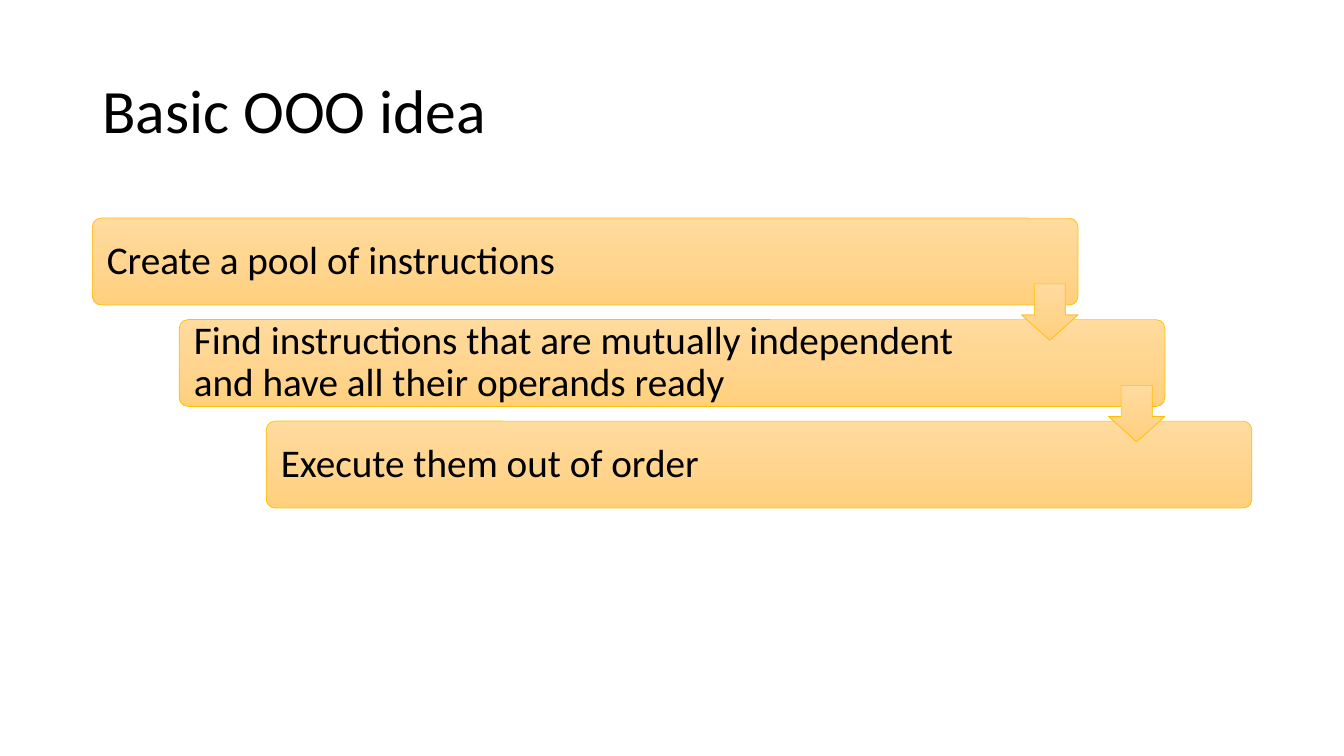
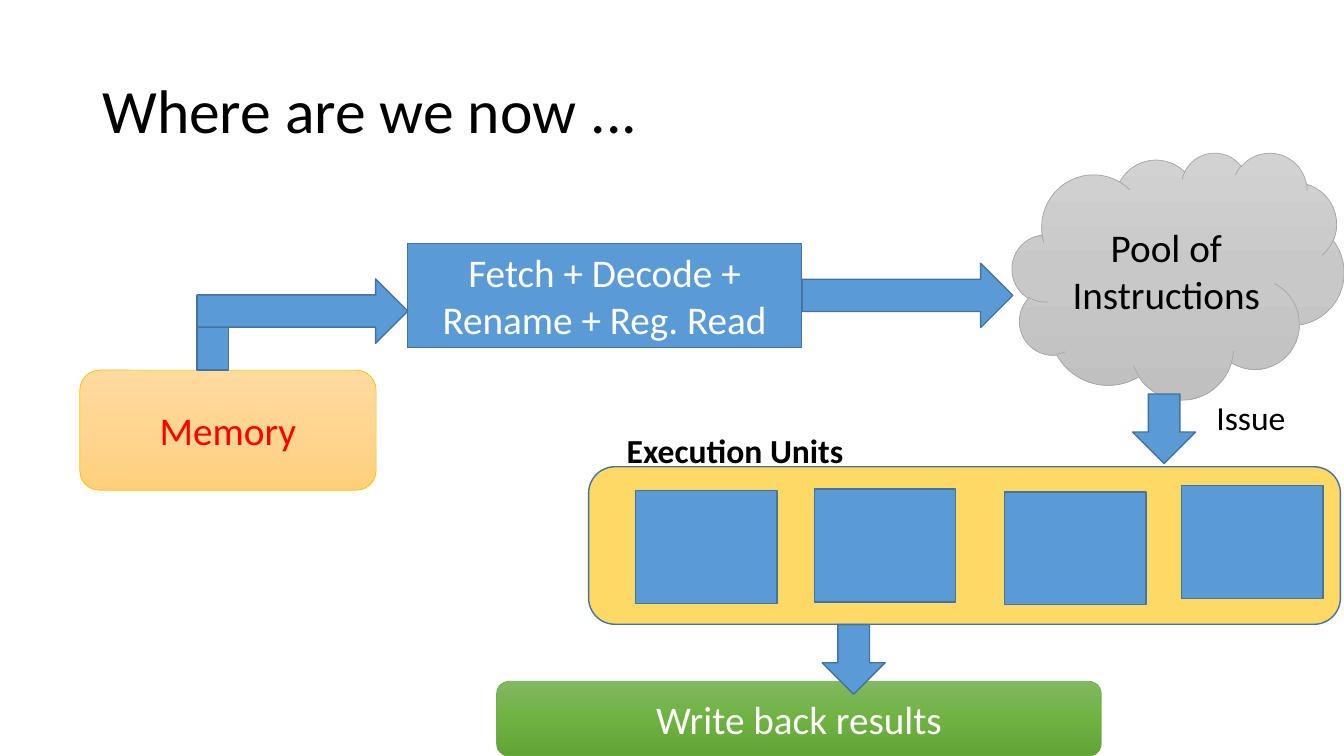
from copy import deepcopy

from pptx import Presentation
from pptx.dml.color import RGBColor
from pptx.enum.shapes import MSO_SHAPE
from pptx.enum.text import MSO_ANCHOR, PP_ALIGN
from pptx.oxml.ns import qn
from pptx.util import Pt

RECT = MSO_SHAPE.RECTANGLE
ROUND = MSO_SHAPE.ROUNDED_RECTANGLE
CLOUD = MSO_SHAPE.CLOUD
DOWN = MSO_SHAPE.DOWN_ARROW
RIGHT = MSO_SHAPE.RIGHT_ARROW
LEFT, CENTER = PP_ALIGN.LEFT, PP_ALIGN.CENTER
TOP, MIDDLE = MSO_ANCHOR.TOP, MSO_ANCHOR.MIDDLE

FONT = "Calibri"
BLACK, WHITE, RED = "000000", "FFFFFF", "FF0000"

# Each look is (fill colours from top to bottom, line colour, line width)
BLUE = (["5B9BD5"], "43739E", 1)
YELLOW = (["FFD966"], "43739E", 1)
ORANGE = (["FFDB9E", "FFD590", "FFD07C"], "FFC000", 0.5)
GRAY = (["D2D2D2", "C8C8C8", "C0C0C0"], "A5A5A5", 0.5)
GREEN = (["81B861", "6FB242", "62A336"], "70AD47", 0.5)


def color(code):
    return RGBColor.from_string(code)


def write(shape, text, size=28, ink=BLACK, bold=False, align=CENTER,
          anchor=MIDDLE, lead=1.0, inset=(7.2, 3.6, 7.2, 3.6)):
    """Fill a shape with one paragraph; inset is left, top, right, bottom."""
    frame = shape.text_frame
    frame.word_wrap = True
    frame.vertical_anchor = anchor
    frame.margin_left, frame.margin_top, frame.margin_right, frame.margin_bottom = map(Pt, inset)
    para = frame.paragraphs[0]
    para.alignment = align
    para.line_spacing = lead
    run = para.add_run()
    run.text = text
    font = run.font
    font.name, font.size, font.bold = FONT, Pt(size), bold
    font.color.rgb = color(ink)


class Deck:
    def __init__(self):
        self.file = Presentation()
        self.file.slide_width = Pt(960)
        self.file.slide_height = Pt(540)
        self.slide = None

    def page(self):
        self.slide = self.file.slides.add_slide(self.file.slide_layouts[6])

    def label(self, text, x, y, w, h, **style):
        box = self.slide.shapes.add_textbox(Pt(x), Pt(y), Pt(w), Pt(h))
        write(box, text, align=LEFT, **style)

    def title(self, text):
        self.label(text, 66, 28.8, 828, 104.4, size=44, lead=0.9)

    def shape(self, kind, look, x, y, w, h, text="", adjust=(), **style):
        shades, edge, width = look
        item = self.slide.shapes.add_shape(kind, Pt(x), Pt(y), Pt(w), Pt(h))
        item.shadow.inherit = False
        for i, value in enumerate(adjust):
            item.adjustments[i] = value
        if len(shades) > 1:
            self.blend(item, shades)
        else:
            item.fill.solid()
            item.fill.fore_color.rgb = color(shades[0])
        item.line.color.rgb = color(edge)
        item.line.width = Pt(width)
        if text:
            write(item, text, **style)

    def blend(self, item, shades):
        """Apply a gradient of three shades running from top to bottom."""
        fill = item.fill
        fill.gradient()
        fill.gradient_angle = 270
        first = item._element.spPr.find(".//" + qn("a:gs"))
        first.addnext(deepcopy(first))
        for i, (stop, shade) in enumerate(zip(fill.gradient_stops, shades)):
            stop.color.rgb = color(shade)
            stop.position = i / 2


def idea(deck):
    deck.page()
    deck.title("Basic OOO idea")
    steps = [
        "Create a pool of instructions",
        "Find instructions that are mutually independent and have all their operands ready",
        "Execute them out of order",
    ]
    wide, high, head = 704, 62, 40.3
    spots = [(66 + 62.1 * i, 155.8 + 72.5 * i) for i in range(len(steps))]
    for (x, y), text in zip(spots, steps):
        deck.shape(ROUND, ORANGE, x, y, wide, high, text, adjust=[0.1],
                   align=LEFT, lead=0.9, inset=(8.6, 8.6, 112, 8.6))
    for x, y in spots[:-1]:
        deck.shape(DOWN, ORANGE, x + wide - head, y + 47, head, head,
                   adjust=[0.55, 0.45])


def status(deck):
    deck.page()
    deck.shape(ROUND, YELLOW, 420.5, 333.4, 537, 112.5)
    deck.title("Where are we now ...")
    deck.shape(RECT, BLUE, 291, 174, 281.7, 74.2,
               "Fetch + Decode + Rename + Reg. Read", ink=WHITE)
    deck.shape(ROUND, ORANGE, 57, 264.4, 211.7, 85.8, "Memory", ink=RED)
    deck.shape(RECT, BLUE, 140.8, 211, 22.3, 53.4)
    for x, y in [(140.8, 199.2), (573, 188)]:
        deck.shape(RIGHT, BLUE, x, y, 150.5, 46)
    deck.shape(CLOUD, GRAY, 723, 108.8, 237, 176.4, "Pool of Instructions")
    for x, y in [(454, 350.4), (581.6, 349.3), (717.6, 351.4), (844, 347)]:
        deck.shape(RECT, BLUE, x, y, 101, 80.6)
    deck.shape(DOWN, BLUE, 809, 281.4, 45, 49.7)
    deck.label("Execution Units", 440.6, 303.2, 180, 36, size=24, bold=True, anchor=TOP)
    deck.label("Issue", 861.8, 280.2, 72, 36, size=24, anchor=TOP)
    deck.shape(ROUND, GREEN, 354.7, 486.7, 432, 53.3, "Write back results", ink=WHITE)
    deck.shape(DOWN, BLUE, 587.3, 446.2, 45, 49.7)


def main():
    deck = Deck()
    idea(deck)
    status(deck)
    deck.file.save("out.pptx")


if __name__ == "__main__":
    main()
